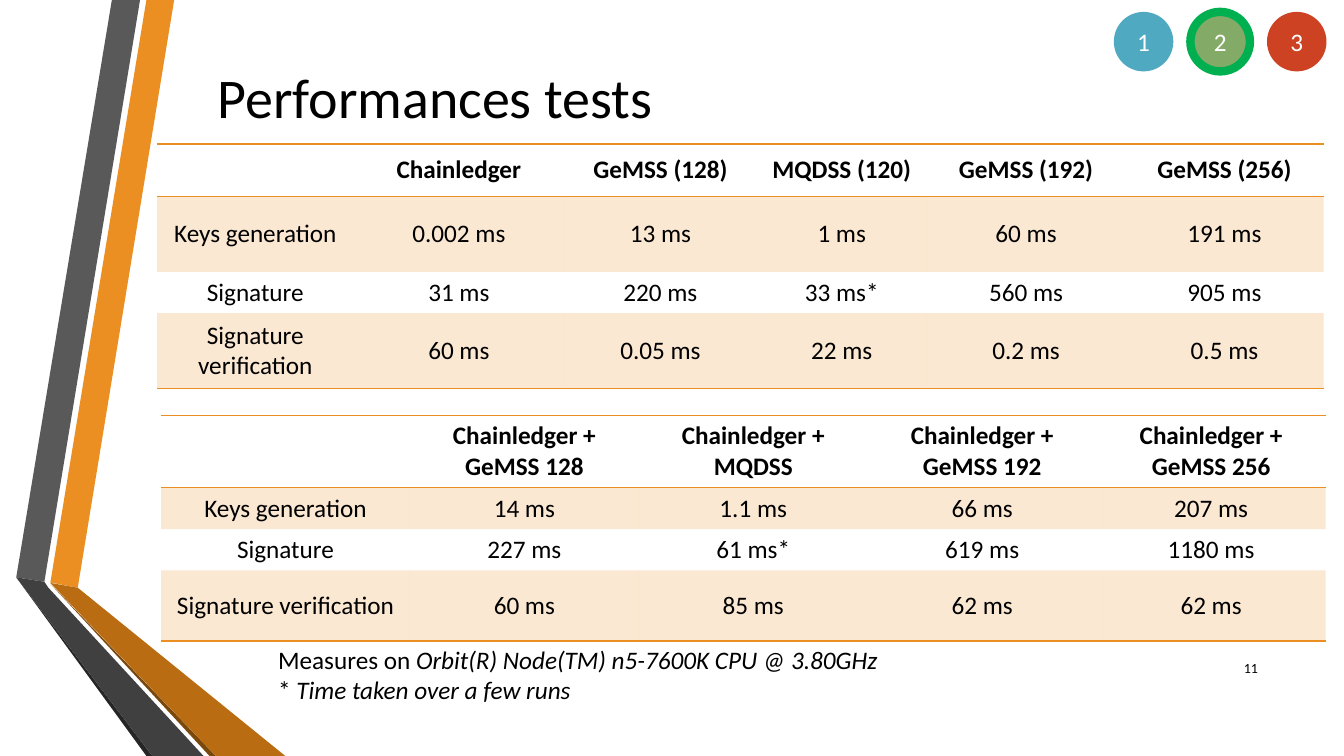
from dataclasses import dataclass

from lxml.etree import SubElement
from pptx import Presentation
from pptx.dml.color import RGBColor
from pptx.enum.shapes import MSO_SHAPE
from pptx.enum.text import MSO_ANCHOR, MSO_AUTO_SIZE, PP_ALIGN
from pptx.oxml.ns import qn
from pptx.util import Cm, Pt


@dataclass(frozen=True)
class Theme:
    """Colours, font and type sizes of the deck."""
    font: str = "Calibri"
    head: int = 40
    body: int = 18
    small: int = 10
    ink: str = "000000"
    white: str = "FFFFFF"
    orange: str = "EB8F22"
    rust: str = "B96C11"
    brown: str = "7B480B"
    grey: str = "595959"
    dark: str = "404040"
    black: str = "262626"
    ring: str = "00B050"
    steps: tuple = ("4FA9C1", "83AA67", "CD4223")


THEME = Theme()
NO_GRID = "{2D5ABB26-0587-4C30-8999-92F81FD0307C}"


def assign(item, values):
    """Set each named value on an object."""
    for name, value in values.items():
        setattr(item, name, value)


def write(frame, runs, size, color=THEME.ink, align=PP_ALIGN.LEFT, bold=False):
    """Fill a frame with (text, italic) runs; None breaks the line."""
    para = frame.paragraphs[0]
    para.alignment = align
    for part in runs:
        if part is None:
            para.add_line_break()
            continue
        run = para.add_run()
        run.text, slant = part
        assign(run.font, {"name": THEME.font, "size": Pt(size),
                          "bold": bold, "italic": slant})
        run.font.color.rgb = RGBColor.from_string(color)


def paint(shape, color):
    """Give a shape a plain fill with no line or shadow."""
    shape.shadow.inherit = False
    shape.fill.solid()
    shape.fill.fore_color.rgb = RGBColor.from_string(color)
    shape.line.fill.background()


def add_bands(slide, left, top):
    """Draw the folded bands, in cm from the box corner."""
    bands = [
        (THEME.orange, [(0.86, 14.68), (1.55, 14.81), (3.98, 0), (3.28, 0)]),
        (THEME.grey, [(3.12, 0), (2.41, 0), (0, 14.55), (0.71, 14.66)]),
        (THEME.black, [(0, 14.55), (3.28, 19.05), (3.43, 19.05)]),
        (THEME.brown, [(0.86, 14.71), (4.87, 19.05), (5.03, 19.05)]),
        (THEME.rust, [(0.86, 14.69), (5.03, 19.05), (6.78, 19.05), (1.55, 14.81)]),
        (THEME.dark, [(4.72, 19.05), (0.81, 14.81), (0.71, 14.66), (0, 14.55),
                      (3.43, 19.05)]),
    ]
    for color, points in bands:
        start, *rest = [(Cm(left + x), Cm(top + y)) for x, y in points]
        pen = slide.shapes.build_freeform(*start)
        pen.add_line_segments(rest, close=True)
        paint(pen.convert_to_shape(), color)


def add_title(slide, left, top, width, height, text):
    """Place and format the title."""
    title = slide.shapes.title
    assign(title, {"left": Cm(left), "top": Cm(top),
                   "width": Cm(width), "height": Cm(height)})
    assign(title.text_frame, {"word_wrap": True, "auto_size": MSO_AUTO_SIZE.NONE,
                              "vertical_anchor": MSO_ANCHOR.MIDDLE})
    write(title.text_frame, [(text, False)], THEME.head)


def add_note(slide, left, top, width, height, runs, size,
             align=PP_ALIGN.LEFT, anchor=MSO_ANCHOR.TOP):
    """Add a wrapped text box."""
    box = slide.shapes.add_textbox(Cm(left), Cm(top), Cm(width), Cm(height))
    assign(box.text_frame, {"word_wrap": True, "vertical_anchor": anchor})
    write(box.text_frame, runs, size, align=align)


def add_edge(cell, sides):
    """Rule the given sides of a cell, T or B."""
    props = cell._tc.get_or_add_tcPr()
    for spot, side in enumerate(sides):
        line = SubElement(props, qn(f"a:ln{side}"), w=str(Pt(1)))
        fill = SubElement(line, qn("a:solidFill"))
        SubElement(fill, qn("a:srgbClr"), val=THEME.orange)
        props.insert(spot, line)


def add_tint(cell):
    """Fill a cell with see-through orange."""
    cell.fill.solid()
    cell.fill.fore_color.rgb = RGBColor.from_string(THEME.orange)
    color = next(cell._tc.tcPr.iter(qn("a:srgbClr")))
    SubElement(color, qn("a:alpha"), val="20000")


def add_times(slide, left, top, widths, heights, rows):
    """Add a table of run times with every other row tinted."""
    frame = slide.shapes.add_table(len(rows), len(widths), Cm(left), Cm(top),
                                   Cm(sum(widths)), Cm(sum(heights)))
    table = frame.table
    assign(table, {"first_row": False, "horz_banding": False})
    table._tbl.tblPr.find(qn("a:tableStyleId")).text = NO_GRID
    for col, width in zip(table.columns, widths):
        col.width = Cm(width)
    for i, (row, height, texts) in enumerate(zip(table.rows, heights, rows)):
        row.height = Cm(height)
        for cell, text in zip(row.cells, texts):
            cell.vertical_anchor = MSO_ANCHOR.MIDDLE
            write(cell.text_frame, [(text, False)] if text else [], THEME.body,
                  align=PP_ALIGN.CENTER, bold=i == 0)
            if i % 2:
                add_tint(cell)
            else:
                cell.fill.background()
            add_edge(cell, "TB" if i == 0 else "B" if i == len(rows) - 1 else "")


def add_steps(slide, left, top, size, pitch, now):
    """Add the numbered step dots and ring the current one."""
    for i, color in enumerate(THEME.steps):
        dot = slide.shapes.add_shape(MSO_SHAPE.OVAL, Cm(left + i * pitch), Cm(top),
                                     Cm(size), Cm(size))
        paint(dot, color)
        if i + 1 == now:
            dot.line.color.rgb = RGBColor.from_string(THEME.ring)
            dot.line.width = Pt(6)
        dot.text_frame.vertical_anchor = MSO_ANCHOR.MIDDLE
        write(dot.text_frame, [(str(i + 1), False)], THEME.body, THEME.white,
              PP_ALIGN.CENTER)


def build_slide(deck):
    """Build the slide of test results."""
    slide = deck.slides.add_slide(deck.slide_layouts[5])
    add_bands(slide, 0.41, 0)
    add_title(slide, 5.23, 0.81, 18.8, 3.2, "Performances tests")
    add_note(slide, 30.43, 16.31, 1.52, 1.02, [("11", False)], THEME.small,
             PP_ALIGN.RIGHT, MSO_ANCHOR.MIDDLE)
    tasks = ["Keys generation", "Signature", "Signature verification"]
    base = "Chainledger"

    def label(head, times):
        """Join the heads, the task names and the times."""
        return [["", *head]] + [[task, *(f"{time} ms{mark}" for time, mark in
                                         ((t.rstrip("*"), "*" * t.count("*"))
                                          for t in line.split()))]
                                for task, line in zip(tasks, times)]

    add_times(slide, 3.96, 3.63, [4.95, 5.31, 4.85, 4.29, 5, 5],
              [1.32, 1.9, 1.04, 1.9],
              label([base, "GeMSS (128)", "MQDSS (120)", "GeMSS (192)", "GeMSS (256)"],
                    ["0.002 13 1 60 191", "31 220 33* 560 905", "60 0.05 22 0.2 0.5"]))
    mixes = ["GeMSS 128", "MQDSS", "GeMSS 192", "GeMSS 256"]
    add_times(slide, 4.06, 10.46, [6.27] + [5.77] * 4, [1.83, 1.04, 1.04, 1.78],
              label([f"{base} + {mix}" for mix in mixes],
                    ["14 1.1 66 207", "227 61* 619 1180", "60 85 62 62"]))
    add_note(slide, 6.76, 16.1, 16.38, 1.8,
             [("Measures on ", False),
              ("Orbit(R) Node(TM) n5-7600K CPU @ 3.80GHz", True), None,
              ("* ", False), ("Time taken over a few runs", True)], THEME.body)
    add_steps(slide, 28.07, 0.3, 1.5, 1.93, now=2)


def main():
    """Make the deck and save it."""
    deck = Presentation()
    assign(deck, {"slide_width": Cm(33.87), "slide_height": Cm(19.05)})
    build_slide(deck)
    deck.save("out.pptx")


main()
